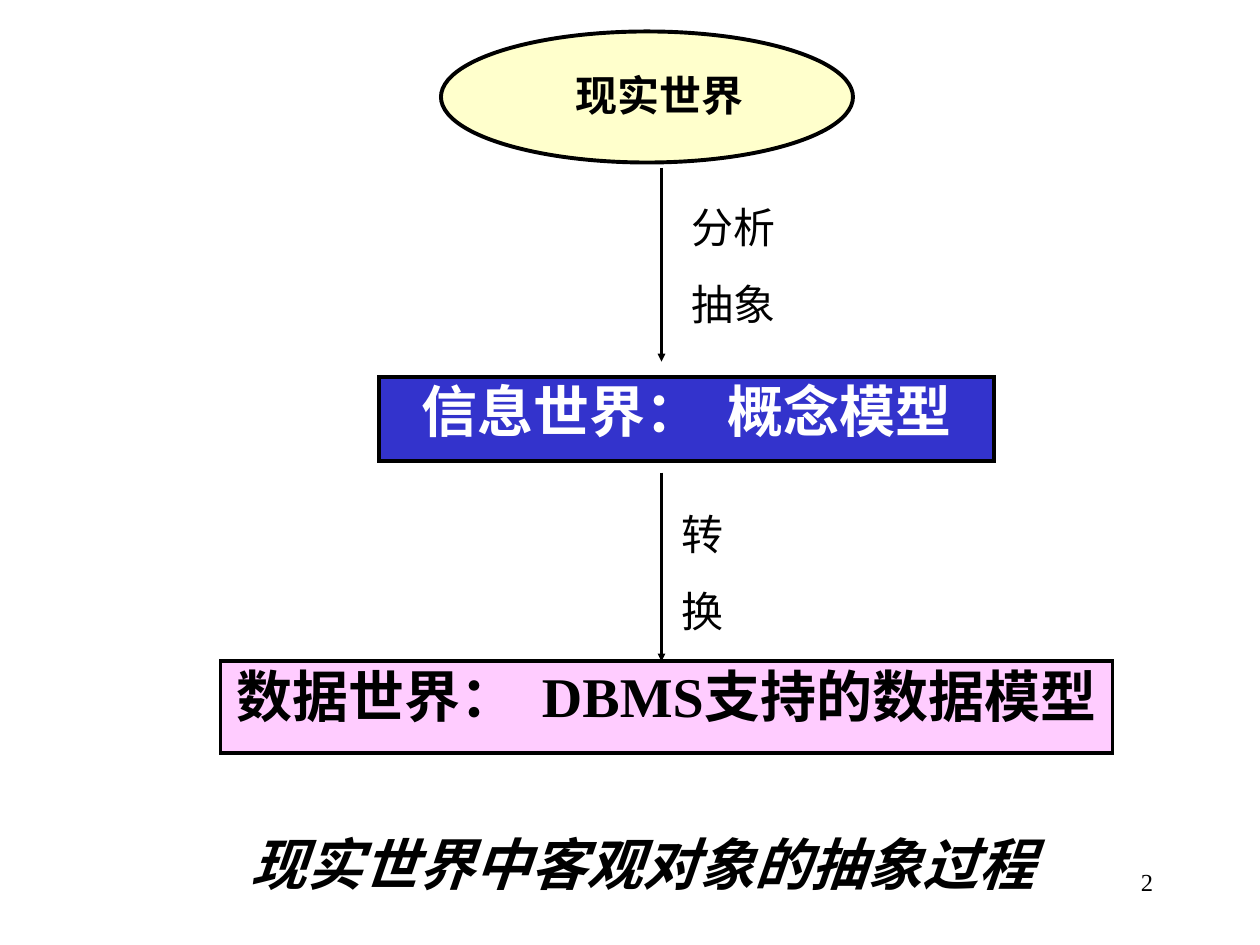
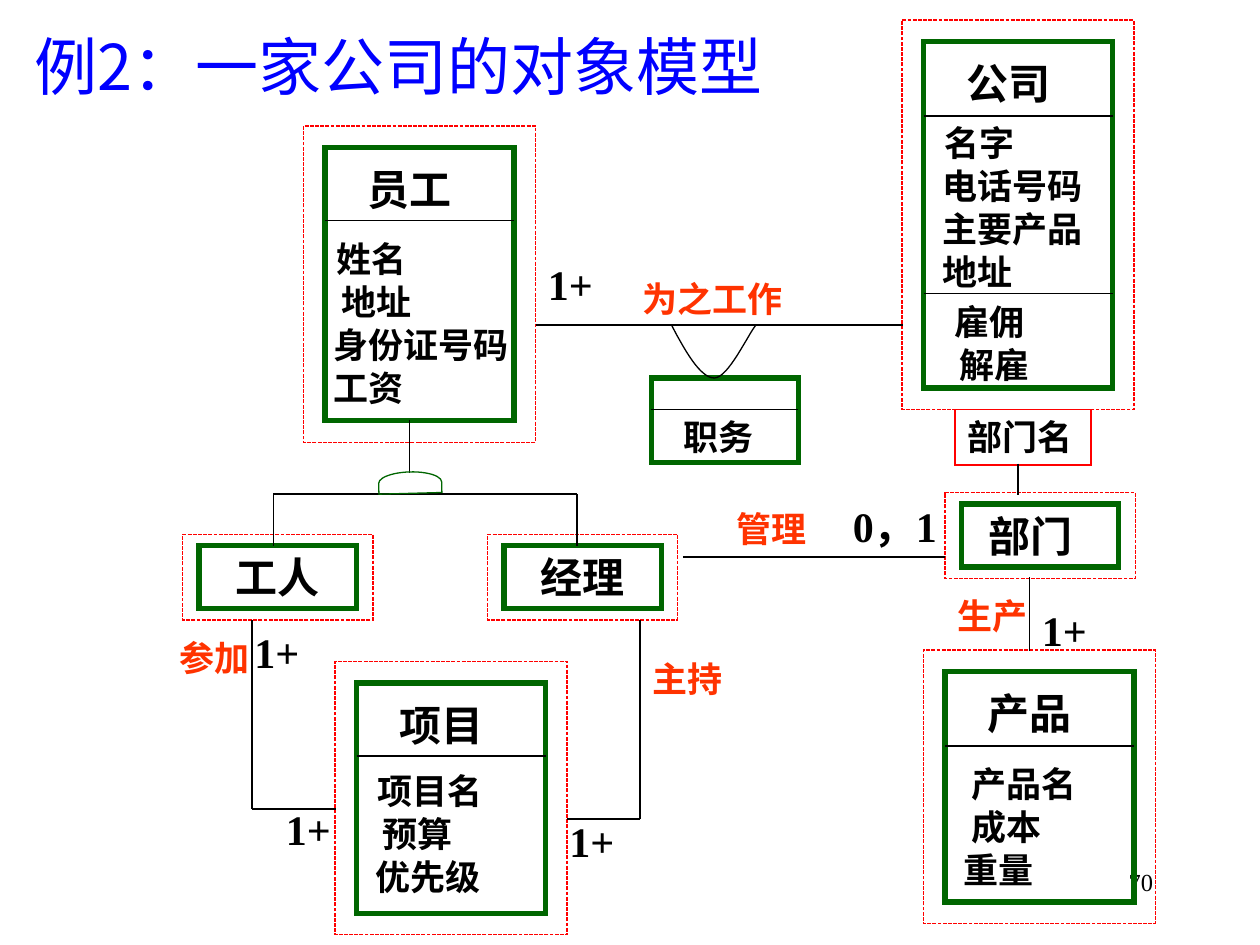
from dataclasses import dataclass
from itertools import pairwise

from lxml import etree
from pptx import Presentation
from pptx.dml.color import RGBColor
from pptx.enum import dml, shapes, text
from pptx.oxml import ns
from pptx.util import Inches, Pt


@dataclass(frozen=True)
class Theme:
    latin: str = "Times New Roman"
    chinese: str = "Noto Sans CJK SC"
    ink: str = "000000"
    white: str = "FFFFFF"
    title: str = "0000FF"
    entity: str = "006600"
    frame: str = "FF0000"
    relation: str = "FF3300"
    real_world: str = "FFFFCC"
    info_world: str = "3333CC"
    data_world: str = "FFCCFF"
    title_size: int = 36
    world_size: int = 32
    name_size: int = 24
    detail_size: int = 20
    number_size: int = 14
    hairline: float = 0.75
    flow_line: float = 2.25
    entity_line: float = 3


THEME = Theme()
Point = tuple[float, float]
Box = tuple[float, float, float, float]
NO_INSETS = (0, 0)
INSETS = (0.1, 0.05)
STEP, WIDE_STEP = 0.13, 0.19


@dataclass(frozen=True)
class Style:
    size: float
    color: str = THEME.ink
    bold: bool = True
    italic: bool = False
    latin: str = THEME.latin
    align: text.PP_ALIGN = text.PP_ALIGN.LEFT
    anchor: text.MSO_ANCHOR = text.MSO_ANCHOR.TOP
    insets: Point = INSETS
    space_before: float = 0
    line_spacing: float = 1
    wrap: bool = True


@dataclass(frozen=True)
class Row:
    words: str
    indent: float = STEP


@dataclass(frozen=True)
class Section:
    box: Box
    rows: tuple[Row, ...]


@dataclass(frozen=True)
class Entity:
    """A class box with a name, dividers at given heights and member lists."""
    name: str
    box: Box
    dividers: tuple[float, ...]
    sections: tuple[Section, ...]


@dataclass(frozen=True)
class Label:
    words: str
    box: Box
    style: Style


@dataclass(frozen=True)
class World:
    words: str
    box: Box
    fill: str
    color: str


CENTER = text.PP_ALIGN.CENTER
NAME = Style(THEME.name_size)
DETAIL = Style(THEME.detail_size)
MEMBER = Style(THEME.detail_size, space_before=12.5, line_spacing=0.5)
LEAF = Style(THEME.name_size, align=CENTER, anchor=text.MSO_ANCHOR.MIDDLE, wrap=False)
RELATION = Style(THEME.detail_size, THEME.relation)
STAGE = Style(THEME.name_size, bold=False, space_before=15)
REAL_WORLD = Style(THEME.name_size, align=CENTER, insets=NO_INSETS)
CAPTION = Style(THEME.world_size, italic=True, align=CENTER, insets=NO_INSETS)
TITLE = Style(THEME.title_size, THEME.title, bold=False, latin=THEME.chinese)
NUMBER = Style(THEME.number_size, bold=False, align=text.PP_ALIGN.RIGHT)

WORLDS = (
    World("信息世界： 概念模型", (3.01, 2.99, 4.88, 0.67), THEME.info_world, THEME.white),
    World("数据世界： DBMS支持的数据模型", (1.75, 5.25, 7.08, 0.73),
          THEME.data_world, THEME.ink),
)

ENTITIES = (
    Entity("员工", (2.58, 1.17, 1.5, 2.17), (1.75,), (
        Section((2.42, 1.98, 1.83, 1.32), (
            Row("姓名", 0.15), Row("地址", WIDE_STEP), Row("身份证号码"), Row("工资"))),
    )),
    Entity("公司", (7.33, 0.33, 1.5, 2.75), (0.92, 2.33), (
        Section((7.25, 1.06, 1.67, 1.32), (
            Row("名字", 0.15), Row("电话号码"), Row("主要产品"), Row("地址"))),
        Section((7.33, 2.48, 1.5, 0.64), (Row("雇佣", 0.15), Row("解雇", WIDE_STEP))),
    )),
    Entity("项目", (2.83, 5.42, 1.5, 1.83), (6,), (
        Section((2.75, 6.2, 1.83, 0.98), (
            Row("项目名", 0.15), Row("预算", WIDE_STEP), Row("优先级"))),
    )),
    Entity("产品", (7.5, 5.33, 1.5, 1.83), (5.92,), (
        Section((7.42, 6.15, 1.83, 0.95), (
            Row("产品名", WIDE_STEP), Row("成本", WIDE_STEP), Row("重量"))),
    )),
)

LEAVES = (
    Label("工人", (1.58, 4.33, 1.25, 0.5), LEAF),
    Label("经理", (4, 4.33, 1.25, 0.5), LEAF),
)

LABELS = (
    *(Label("1+", (left, top, 0.75, 0.5), NAME) for left, top in (
        (4.25, 2), (1.92, 4.92), (2.17, 6.33), (4.42, 6.42), (8.17, 4.75))),
    Label("0，1", (6.67, 3.92, 1, 0.9), NAME),
    Label("部门", (7.75, 4, 0.92, 0.5), NAME),
    Label("为之工作", (5, 2.15, 1.5, 0.44), RELATION),
    *(Label(words, (left, top, 0.92, 0.44), RELATION) for words, left, top in (
        ("参加", 1.33, 5), ("主持", 5.08, 5.17), ("管理", 5.75, 3.98), ("生产", 7.5, 4.67))),
)

ROUTES: tuple[tuple[Point, ...], ...] = (
    ((4.25, 2.58), (7.17, 2.58)),
    ((5.17, 3.25), (6.33, 3.25)),
    ((2.17, 4.33), (2.17, 3.92), (4.58, 3.92), (4.58, 4.33)),
    ((3.25, 3.33), (3.25, 3.75)),
    ((8.08, 3.68), (8.08, 3.93)),
    ((5.42, 4.42), (7.5, 4.42)),
    ((2, 4.92), (2, 6.42), (2.67, 6.42)),
    ((5.08, 4.92), (5.08, 6.5), (4.5, 6.5)),
    ((8.17, 4.58), (8.17, 5.17)),
)

LINK_CURVE = (
    ((5.33, 2.58), (5.44, 2.79), (5.56, 3), (5.67, 3)),
    ((5.67, 3), (5.78, 3), (5.94, 2.65), (6, 2.58)),
)


def inches(lengths: tuple[float, ...]) -> list[int]:
    return [Inches(length) for length in lengths]


def grow(box: Box, across: float, down: float) -> Box:
    left, top, width, height = box
    return left - across, top - down, width + 2 * across, height + 2 * down


def write(shape, rows: list[Row], style: Style) -> None:
    frame = shape.text_frame
    frame.auto_size = text.MSO_AUTO_SIZE.NONE
    frame.word_wrap = style.wrap
    frame.vertical_anchor = style.anchor
    frame.margin_left = frame.margin_right = Inches(style.insets[0])
    frame.margin_top = frame.margin_bottom = Inches(style.insets[1])
    frame.text = "\n".join(row.words for row in rows)
    for index, (paragraph, row) in enumerate(zip(frame.paragraphs, rows)):
        paragraph.alignment = style.align
        paragraph.line_spacing = style.line_spacing
        if index:
            paragraph.space_before = Pt(style.space_before)
        if row.indent:
            paragraph._p.get_or_add_pPr().set("marL", str(Inches(row.indent)))
        for run in paragraph.runs:
            format_run(run, style)


def format_run(run, style: Style) -> None:
    font = run.font
    font.size = Pt(style.size)
    font.bold = style.bold
    font.italic = style.italic
    font.color.rgb = RGBColor.from_string(style.color)
    font.name = style.latin
    east_asian = etree.SubElement(run._r.get_or_add_rPr(), ns.qn("a:ea"))
    east_asian.set("typeface", THEME.chinese)


def add_label(slide, label: Label, indent: float = 0) -> None:
    box = slide.shapes.add_textbox(*inches(label.box))
    write(box, [Row(words, indent) for words in label.words.split("\n")], label.style)


def add_outline(slide, kind, box: Box, color: str, weight: float, fill: str = ""):
    shape = slide.shapes.add_shape(kind, *inches(box))
    finish_outline(shape, color, weight, fill)
    return shape


def finish_outline(shape, color: str, weight: float, fill: str = "") -> None:
    shape.shadow.inherit = False
    if fill:
        shape.fill.solid()
        shape.fill.fore_color.rgb = RGBColor.from_string(fill)
    else:
        shape.fill.background()
    shape.line.color.rgb = RGBColor.from_string(color)
    shape.line.width = Pt(weight)
    corner = etree.SubElement(shape.line._get_or_add_ln(), ns.qn("a:miter"))
    corner.set("lim", "800000")


def add_line(slide, start: Point, end: Point, weight: float = THEME.hairline,
             arrow: bool = False) -> None:
    line = slide.shapes.add_connector(
        shapes.MSO_CONNECTOR.STRAIGHT, *inches((*start, *end)))
    line.line.color.rgb = RGBColor.from_string(THEME.ink)
    line.line.width = Pt(weight)
    if arrow:
        etree.SubElement(line.line._get_or_add_ln(), ns.qn("a:tailEnd"),
                         type="triangle", w="sm", len="sm")
    etree.SubElement(line._element.spPr, ns.qn("a:effectLst"))


def add_entity_box(slide, box: Box):
    return add_outline(slide, shapes.MSO_SHAPE.RECTANGLE, box,
                       THEME.entity, THEME.entity_line)


def add_frame(slide, box: Box) -> None:
    frame = add_outline(slide, shapes.MSO_SHAPE.RECTANGLE, box,
                        THEME.frame, THEME.hairline)
    frame.line.dash_style = dml.MSO_LINE.SQUARE_DOT


def add_entity(slide, entity: Entity) -> None:
    left, top, width, _ = entity.box
    add_entity_box(slide, entity.box)
    for height in entity.dividers:
        add_line(slide, (left, height), (left + width, height))
    add_frame(slide, grow(entity.box, 0.17, 0.17))
    add_label(slide, Label(entity.name, (left + 0.09, top + 0.08, 1.42, 0.5), NAME), 0.15)
    for section in entity.sections:
        members = slide.shapes.add_textbox(*inches(section.box))
        write(members, list(section.rows), MEMBER)


def bezier(curve: tuple[Point, ...], t: float) -> Point:
    weights = ((1 - t) ** 3, 3 * t * (1 - t) ** 2, 3 * t * t * (1 - t), t ** 3)
    x, y = (sum(w * point[axis] for w, point in zip(weights, curve)) for axis in (0, 1))
    return x, y


def add_link_curve(slide) -> None:
    steps = 16
    points = [inches(bezier(curve, i / steps))
              for curve in LINK_CURVE for i in range(1, steps + 1)]
    builder = slide.shapes.build_freeform(*inches(LINK_CURVE[0][0]))
    builder.add_line_segments(points, close=False)
    finish_outline(builder.convert_to_shape(), THEME.ink, THEME.hairline)


def start_slide(deck, title: str, box: Box, style: Style, number: str):
    slide = deck.slides.add_slide(deck.slide_layouts[5])
    heading = slide.shapes.title
    heading.left, heading.top, heading.width, heading.height = inches(box)
    write(heading, [Row(title, 0)], style)
    add_label(slide, Label(number, (7.17, 6.83, 2.08, 0.5), NUMBER))
    return slide


def add_world(slide, world: World) -> None:
    """Draw a world bar, with a widened gap after its colon."""
    bar = add_outline(slide, shapes.MSO_SHAPE.RECTANGLE, world.box,
                      THEME.ink, THEME.flow_line, world.fill)
    style = Style(THEME.world_size, world.color, align=CENTER, insets=NO_INSETS)
    name, model = world.words.split(" ")
    write(bar, [Row(name, 0)], style)
    for words in (" ", model):
        run = bar.text_frame.paragraphs[0].add_run()
        run.text = words
        format_run(run, style)
        if words == " ":
            run._r.get_or_add_rPr().set("spc", "700")


def build_abstraction(deck) -> None:
    slide = start_slide(deck, "现实世界中客观对象的抽象过程",
                        (1.53, 6.58, 7.15, 0.67), CAPTION, "2")
    for world in WORLDS:
        add_world(slide, world)
    for top, bottom in ((1.33, 2.87), (3.75, 5.25)):
        add_line(slide, (5.25, top), (5.25, bottom), THEME.flow_line, arrow=True)
    add_outline(slide, shapes.MSO_SHAPE.OVAL, (3.5, 0.25, 3.27, 1.04),
                THEME.ink, THEME.flow_line, THEME.real_world)
    add_label(slide, Label("现实世界", (4.25, 0.55, 1.97, 0.62), REAL_WORLD))
    add_label(slide, Label("分析\n抽象", (5.39, 1.55, 0.94, 1.11), STAGE))
    add_label(slide, Label("转\n换", (5.31, 3.99, 0.94, 1.11), STAGE))


def build_company_model(deck) -> None:
    slide = start_slide(deck, "例2：一家公司的对象模型", (0.17, 0.17, 9.64, 0.83), TITLE, "70")
    for entity in ENTITIES:
        add_entity(slide, entity)
    for leaf in LEAVES:
        write(add_entity_box(slide, leaf.box), [Row(leaf.words, 0)], leaf.style)
        add_frame(slide, grow(leaf.box, 0.13, 0.09))
    department = (7.63, 4, 1.25, 0.5)
    add_entity_box(slide, department)
    add_frame(slide, grow(department, 0.13, 0.09))
    add_entity_box(slide, (5.17, 3, 1.17, 0.67))
    add_label(slide, Label("职务", (5.08, 3.25, 1.33, 0.44), DETAIL), 0.25)
    qualifier = add_outline(slide, shapes.MSO_SHAPE.RECTANGLE, (7.58, 3.25, 1.08, 0.44),
                            THEME.frame, THEME.hairline)
    write(qualifier, [Row("部门名", 0)], DETAIL)
    for route in ROUTES:
        for start, end in pairwise(route):
            add_line(slide, start, end)
    add_link_curve(slide)
    inheritance = add_outline(slide, shapes.MSO_SHAPE.FLOWCHART_DELAY,
                              (3.17, 3.58, 0.17, 0.5), THEME.entity, THEME.hairline)
    inheritance.rotation = 268.5
    for label in LABELS:
        add_label(slide, label)


def main() -> None:
    deck = Presentation()
    deck.slide_width, deck.slide_height = Inches(10), Inches(7.5)
    build_abstraction(deck)
    build_company_model(deck)
    deck.save("out.pptx")


if __name__ == "__main__":
    main()
